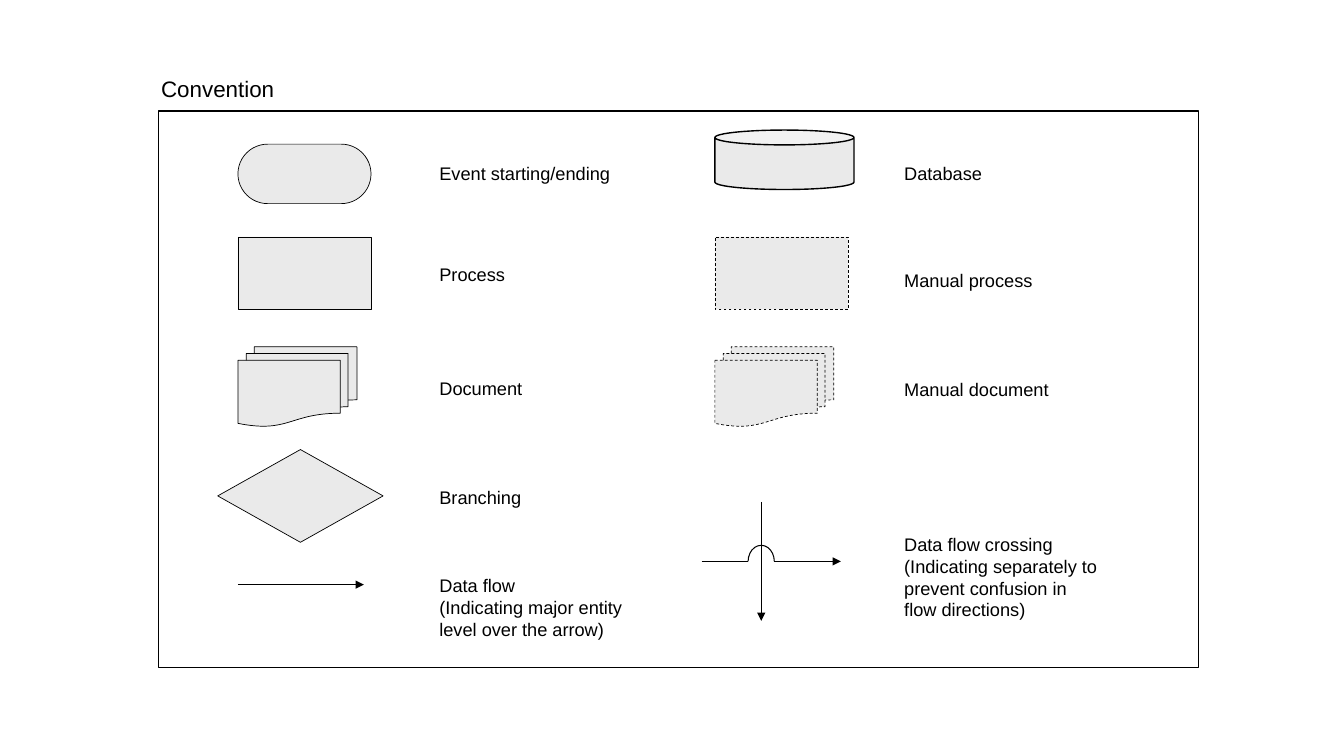
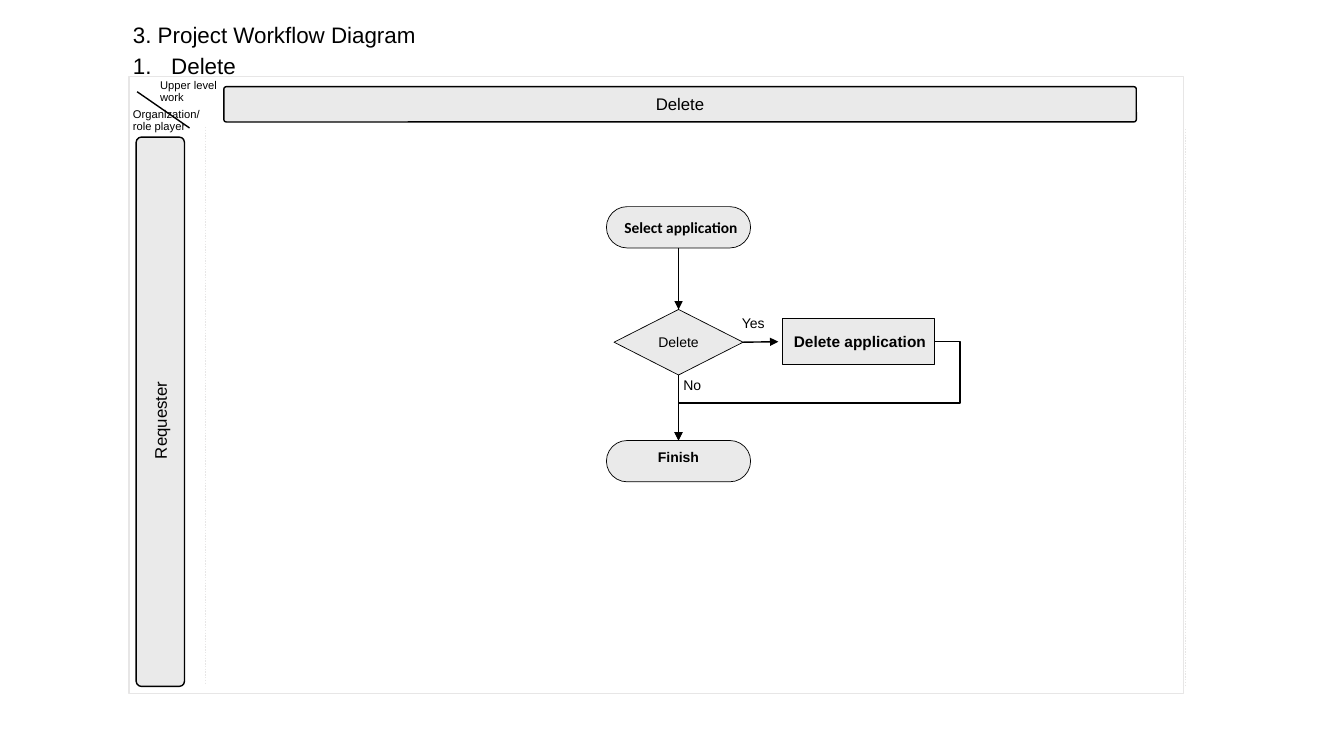
from lxml.etree import SubElement
from pptx import Presentation
from pptx.dml.color import RGBColor
from pptx.enum.dml import MSO_LINE
from pptx.enum.shapes import MSO_CONNECTOR as Link, MSO_SHAPE as Preset
from pptx.enum.text import MSO_ANCHOR as Anchor, PP_ALIGN as Align
from pptx.oxml.ns import qn
from pptx.util import Inches, Pt

BLACK = "000000"
GRAY = "EAEAEA"
PALE = "E7E6E6"
FONT = "Arial"
TITLE = {"size": 16, "format": {"space_before": Pt(3)}}
LEGEND = {"size": 13}
CORNER = {"size": 8, "format": {"line_spacing": 0.9}}


def color(code):
    return RGBColor.from_string(code)


def assign(target, values):
    for name, value in values.items():
        setattr(target, name, value)


def style_line(line, code, weight, dash=None):
    line.color.rgb = color(code)
    line.width = Pt(weight)
    if dash is not None:
        line.dash_style = dash


def write(frame, lines, size, font=FONT, bold=False, format=None):
    for index, text in enumerate(lines):
        para = frame.paragraphs[0] if index == 0 else frame.add_paragraph()
        assign(para, format or {})
        span = para.add_run()
        span.text = text
        assign(span.font, {"name": font, "size": Pt(size), "bold": bold})
        span.font.color.rgb = color(BLACK)


def add_text(page, left, top, width, height, *lines, **style):
    box = page.shapes.add_textbox(*map(Inches, (left, top, width, height)))
    box.text_frame.word_wrap = True
    write(box.text_frame, lines, **style)
    return box


def add_block(page, preset, left, top, width, height, fill=GRAY,
              line=BLACK, weight=0.5, dash=None, adjust=()):
    block = page.shapes.add_shape(
        preset, *map(Inches, (left, top, width, height)))
    block.shadow.inherit = False
    if fill:
        block.fill.solid()
        block.fill.fore_color.rgb = color(fill)
    else:
        block.fill.background()
    style_line(block.line, line, weight, dash)
    for index, value in enumerate(adjust):
        block.adjustments[index] = value
    return block


def label_block(block, text, size, margins=None, **style):
    frame = block.text_frame
    assign(frame, {"word_wrap": False, "vertical_anchor": Anchor.MIDDLE})
    for side in ("left", "top", "right", "bottom"):
        setattr(frame, f"margin_{side}", Inches((margins or {}).get(side, 0)))
    write(frame, [text], size, format={"alignment": Align.CENTER}, **style)


def add_link(page, start, end, weight=1, line=BLACK, dash=None, arrow=False,
             source=None, target=None, bends=()):
    kind = Link.ELBOW if bends else Link.STRAIGHT
    link = page.shapes.add_connector(kind, *map(Inches, (*start, *end)))
    if source:
        link.begin_connect(*source)
    if target:
        link.end_connect(*target)
    style_line(link.line, line, weight, dash)
    properties = link._element.spPr
    if arrow:
        SubElement(properties.find(qn("a:ln")), qn("a:tailEnd"),
                   type="triangle")
    if bends:
        geometry = properties.find(qn("a:prstGeom"))
        geometry.set("prst", f"bentConnector{len(bends) + 2}")
        guides = geometry.find(qn("a:avLst"))
        if guides is None:
            guides = SubElement(geometry, qn("a:avLst"))
        for index, bend in enumerate(bends, 1):
            SubElement(guides, qn("a:gd"), name=f"adj{index}",
                       fmla=f"val {round(bend * 100000)}")
    SubElement(properties, qn("a:effectLst"))
    return link


def number_paragraph(para, indent):
    properties = para._p.get_or_add_pPr()
    properties.set("marL", str(Inches(indent)))
    properties.set("indent", str(-Inches(indent)))
    SubElement(properties, qn("a:buAutoNum"), type="arabicPeriod")


def add_crossing(page):
    middle, level, radius = 7.55, 5.57, 0.13
    add_link(page, (middle, 4.98), (middle, 6.16), 0.5, arrow=True)
    add_link(page, (6.96, level), (middle - radius, level), 0.75)
    add_block(page, Preset.ARC, middle - radius, level - 0.16, 2 * radius,
              0.32, fill=None, weight=0.75, adjust=(108, 0))
    add_link(page, (middle + radius, level), (8.34, level), 0.5, arrow=True)


def build_convention(page):
    add_text(page, 1.5, 0.7, 1.6, 0.37, "Convention", **TITLE)
    add_block(page, Preset.RECTANGLE, 1.57, 1.1, 10.32, 5.52,
              fill=None, weight=1)
    add_block(page, Preset.ROUNDED_RECTANGLE, 2.36, 1.43, 1.32, 0.59,
              adjust=(0.5,))
    for left, dash in ((2.36, None), (7.09, MSO_LINE.DASH)):
        add_block(page, Preset.RECTANGLE, left, 2.35, 1.32, 0.72, dash=dash)
        add_block(page, Preset.FLOWCHART_MULTIDOCUMENT, left, 3.44,
                  1.18, 0.79, dash=dash)
    add_block(page, Preset.DIAMOND, 2.16, 4.46, 1.64, 0.92)
    add_link(page, (2.36, 5.8), (3.61, 5.8), 0.5, arrow=True)
    add_block(page, Preset.CAN, 7.09, 1.29, 1.38, 0.59, weight=1,
              adjust=(0.25,))
    add_crossing(page)

    columns = {
        4.26: [
            (1.56, "Event starting/ending"),
            (2.56, "Process"),
            (3.69, "Document"),
            (4.77, "Branching"),
            (5.65, "Data flow",
             "(Indicating major entity level over the arrow)"),
        ],
        8.87: [
            (1.56, "Database"),
            (2.62, "Manual process"),
            (3.7, "Manual document"),
            (5.24, "Data flow crossing",
             "(Indicating separately to prevent confusion in flow directions)"),
        ],
    }
    for left, labels in columns.items():
        for top, *lines in labels:
            add_text(page, left, top, 2.17, 0.32, *lines, **LEGEND)


def add_swimlane(page):
    add_block(page, Preset.RECTANGLE, 1.28, 0.76, 10.46, 6.12,
              fill=None, line=PALE, weight=1)
    for left, top in ((2.04, 1.26), (11.76, 1.28)):
        add_link(page, (left, top), (left, top + 5.52), line=PALE,
                 dash=MSO_LINE.ROUND_DOT)
    add_text(page, 1.22, 1.03, 1, 0.34, "Organization/", "role player",
             **CORNER)
    add_text(page, 1.49, 0.74, 1, 0.34, "Upper level", "work", **CORNER)
    add_link(page, (1.36, 0.91), (1.88, 1.27))
    role = add_block(page, Preset.ROUNDED_RECTANGLE, 1.35, 1.36, 0.48, 5.45,
                     weight=1, adjust=(0.11,))
    label_block(role, "Requester", 12, {"top": 0.17})
    role.text_frame._txBody.bodyPr.set("vert", "vert270")
    work = add_block(page, Preset.ROUNDED_RECTANGLE, 2.22, 0.86, 9.05, 0.35,
                     weight=1, adjust=(0.07,))
    label_block(work, "Delete", 12)


def add_flow(page):
    axis = 6.73

    def add_step(preset, top, width, height, **options):
        return add_block(page, preset, axis - width / 2, top, width, height,
                         **options)

    select, finish = (
        add_step(Preset.ROUNDED_RECTANGLE, top, 1.43, 0.41, adjust=(0.5,))
        for top in (2.05, 4.37))
    choice = add_step(Preset.DIAMOND, 3.07, 1.28, 0.65)
    delete = add_block(page, Preset.RECTANGLE, 7.76, 3.16, 1.51, 0.46)
    label_block(select, "Select application", 11, {"left": 0.05},
                font="Calibri", bold=True)
    label_block(choice, "Delete", 10)
    label_block(delete, "Delete application", 11, {"left": 0.03}, bold=True)
    label_block(finish, "Finish", 10, {"bottom": 0.08}, bold=True)

    add_link(page, (axis, 2.46), (axis, 3.07), arrow=True,
             source=(select, 2), target=(choice, 0))
    add_link(page, (axis, 3.72), (axis, 4.37), arrow=True,
             source=(choice, 2), target=(finish, 0))
    add_link(page, (7.37, 3.39), (7.72, 3.39), arrow=True,
             source=(choice, 3))
    add_link(page, (9.27, 3.39), (axis, 4.37), arrow=True,
             source=(delete, 3), target=(finish, 0), bends=(-0.1, 0.62))
    add_text(page, 7.26, 3.07, 0.5, 0.27, "Yes", size=10)
    add_text(page, 6.68, 3.69, 0.5, 0.27, "No", size=10)


def build_workflow(page):
    title = add_text(page, 1.22, 0.16, 4.22, 1.02,
                     "3. Project Workflow Diagram", "Delete", **TITLE)
    number_paragraph(title.text_frame.paragraphs[1], 0.38)
    add_swimlane(page)
    add_flow(page)


def main():
    deck = Presentation()
    assign(deck, {"slide_width": Inches(13.33), "slide_height": Inches(7.5)})
    for build in (build_convention, build_workflow):
        build(deck.slides.add_slide(deck.slide_layouts[6]))
    deck.save("out.pptx")


if __name__ == "__main__":
    main()
